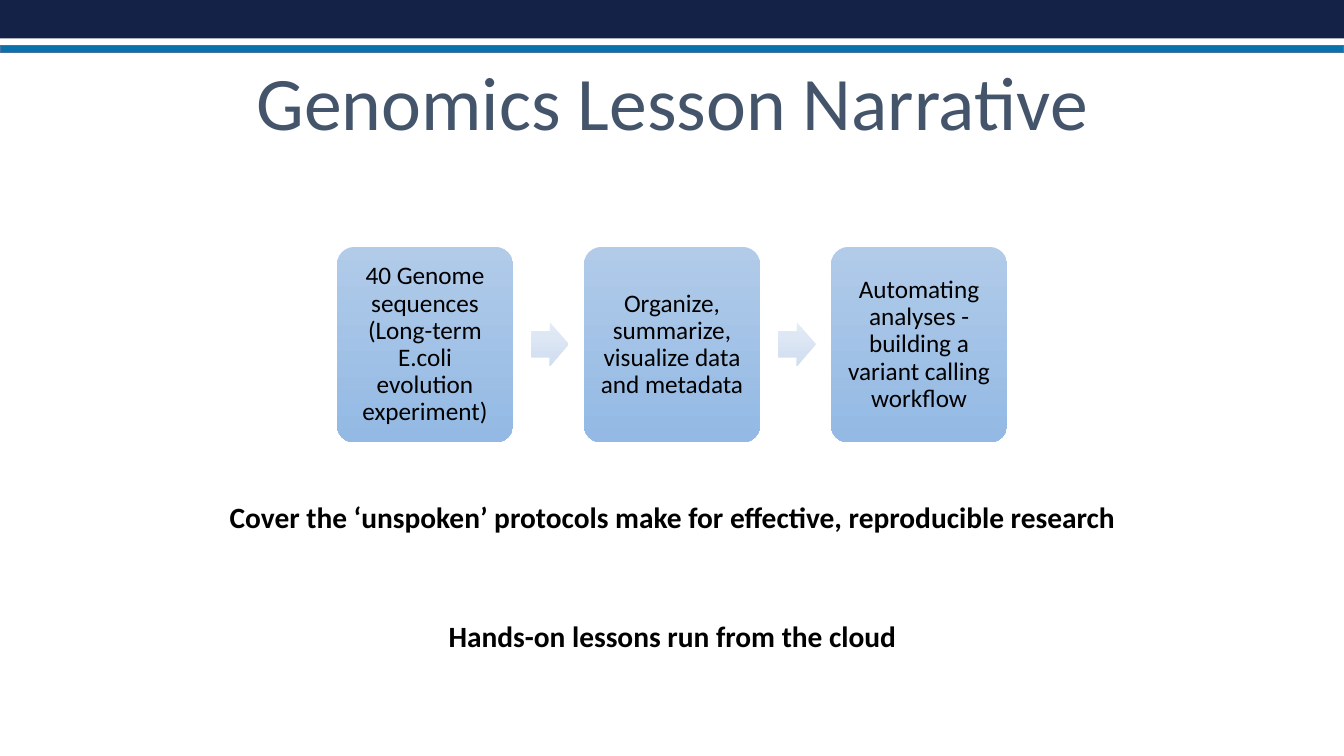
from pptx import Presentation
from pptx.dml.color import RGBColor
from pptx.enum.shapes import MSO_SHAPE
from pptx.enum.text import MSO_ANCHOR, MSO_AUTO_SIZE, PP_ALIGN
from pptx.util import Inches, Pt

RECTANGLE = MSO_SHAPE.RECTANGLE
ROUNDED = MSO_SHAPE.ROUNDED_RECTANGLE
ARROW = MSO_SHAPE.RIGHT_ARROW
CENTER = PP_ALIGN.CENTER
MIDDLE = MSO_ANCHOR.MIDDLE
NO_AUTOFIT = MSO_AUTO_SIZE.NONE

FONT = "Calibri"
TITLE_LAYOUT = 5
SLIDE_WIDTH = 13.33
STEP_LEFT, STEP_PITCH, ARROW_OFFSET = 3.34, 2.45, 1.93
COLORS = {
    "navy": "142248",
    "blue": "0971AB",
    "blue_edge": "43739E",
    "title": "44546A",
    "text": "000000",
    "step_top": "B1CBE9",
    "step_bottom": "93B9E4",
    "arrow_top": "E3EBF6",
    "arrow_bottom": "D0DEF1",
}
STEPS = [
    "40 Genome sequences (Long-term E.coli evolution experiment)",
    "Organize, summarize, visualize data and metadata",
    "Automating analyses - building a variant calling workflow",
]
STATEMENTS = [
    (4.73, "Cover the ‘unspoken’ protocols make for effective, reproducible research"),
    (5.91, "Hands-on lessons run from the cloud"),
]


def color(name):
    """Return the named colour."""
    return RGBColor.from_string(COLORS[name])


def write(text_frame, text, size, color_name="text", bold=False, spacing=1.0):
    """Write one centred run into a wrapping text frame."""
    text_frame.word_wrap = True
    text_frame.auto_size = NO_AUTOFIT
    paragraph = text_frame.paragraphs[0]
    paragraph.alignment = CENTER
    paragraph.line_spacing = spacing
    run = paragraph.add_run()
    run.text = text
    run.font.name = FONT
    run.font.size = Pt(size)
    run.font.bold = bold
    run.font.color.rgb = color(color_name)


def add_shape(slide, kind, left, top, width, height):
    """Add a preset shape without shadow or outline."""
    shape = slide.shapes.add_shape(
        kind, Inches(left), Inches(top), Inches(width), Inches(height))
    shape.shadow.inherit = False
    shape.line.fill.background()
    return shape


def add_band(slide, top, height, fill, edge=None):
    """Add a full-width band, outlined if an edge colour is given."""
    band = add_shape(slide, RECTANGLE, 0, top, SLIDE_WIDTH, height)
    band.fill.solid()
    band.fill.fore_color.rgb = color(fill)
    if edge:
        band.line.color.rgb = color(edge)
        band.line.width = Pt(1)


def fill_gradient(shape, name):
    """Fill a shape with a gradient from top to bottom."""
    shape.fill.gradient()
    shape.fill.gradient_angle = 270
    for stop, end in zip(shape.fill.gradient_stops, ("top", "bottom")):
        stop.color.rgb = color(f"{name}_{end}")


def add_step(slide, left, text):
    """Add one rounded step of the process."""
    step = add_shape(slide, ROUNDED, left, 2.45, 1.75, 1.94)
    step.adjustments[0] = 0.1
    fill_gradient(step, "step")
    frame = step.text_frame
    frame.margin_left = frame.margin_right = Inches(0.07)
    frame.margin_top = frame.margin_bottom = Inches(0.07)
    frame.vertical_anchor = MIDDLE
    write(frame, text, 18, spacing=0.9)


def add_arrow(slide, left):
    """Add an arrow between two steps."""
    arrow = add_shape(slide, ARROW, left, 3.2, 0.37, 0.43)
    arrow.adjustments[0] = 0.6
    arrow.adjustments[1] = 0.5
    fill_gradient(arrow, "arrow")


def add_statement(slide, top, text):
    """Add a bold centred statement."""
    box = slide.shapes.add_textbox(
        Inches(2.16), Inches(top), Inches(9.02), Inches(0.63))
    write(box.text_frame, text, 21, bold=True, spacing=1.5)


def set_title(slide, text):
    """Place and write the slide title."""
    title = slide.shapes.title
    title.left, title.top = Inches(1.67), Inches(0.49)
    title.width, title.height = Inches(10), Inches(1.01)
    title.text_frame.vertical_anchor = MIDDLE
    write(title.text_frame, text, 54, "title")


def main():
    """Build and save the slide."""
    presentation = Presentation()
    presentation.slide_width = Inches(SLIDE_WIDTH)
    presentation.slide_height = Inches(7.5)
    slide = presentation.slides.add_slide(presentation.slide_layouts[TITLE_LAYOUT])

    add_band(slide, 0, 0.38, "navy")
    add_band(slide, 0.45, 0.07, "blue", "blue_edge")
    set_title(slide, "Genomics Lesson Narrative")
    for index, text in enumerate(STEPS):
        left = STEP_LEFT + index * STEP_PITCH
        add_step(slide, left, text)
        if index < len(STEPS) - 1:
            add_arrow(slide, left + ARROW_OFFSET)
    for top, text in STATEMENTS:
        add_statement(slide, top, text)

    presentation.save("out.pptx")


if __name__ == "__main__":
    main()
